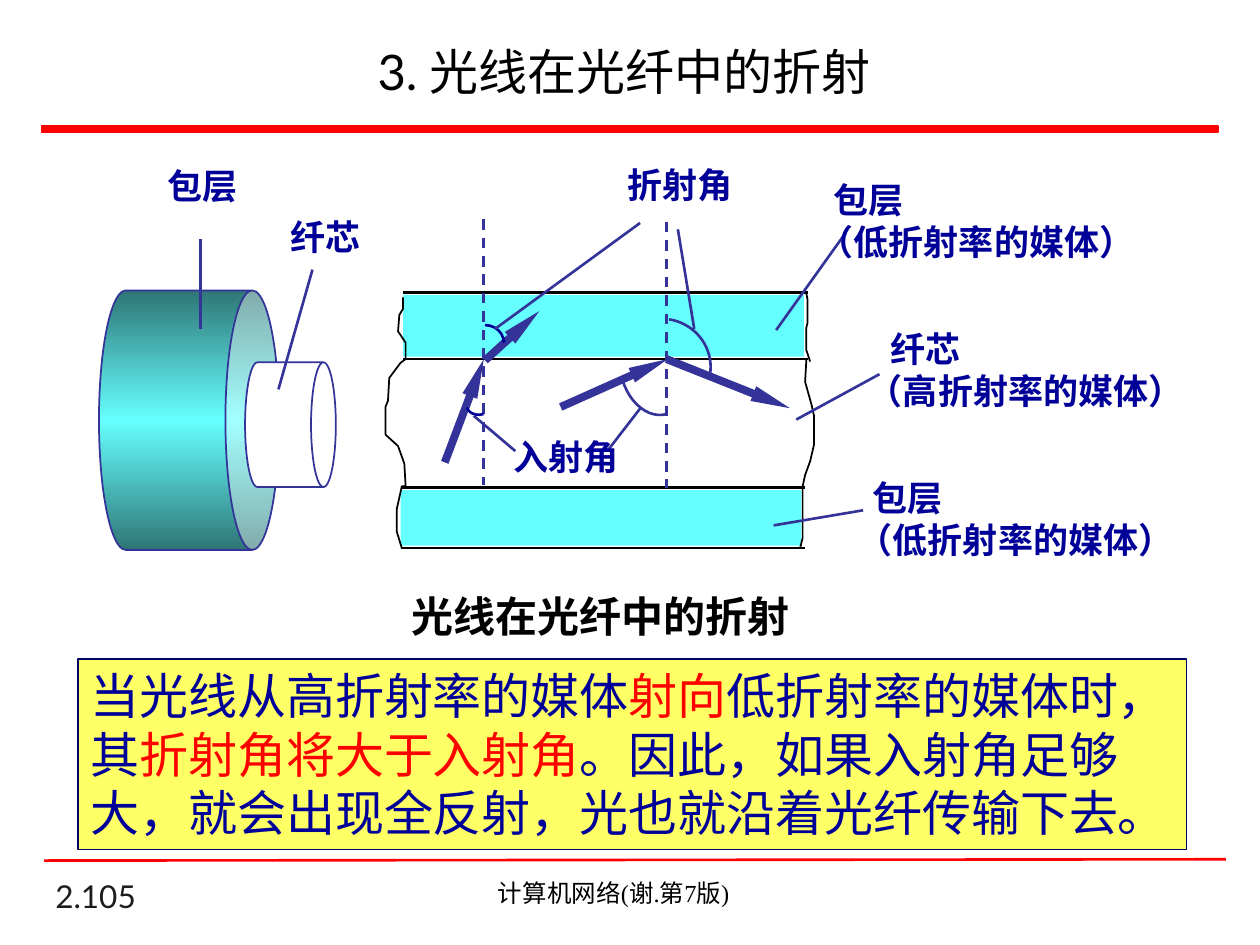
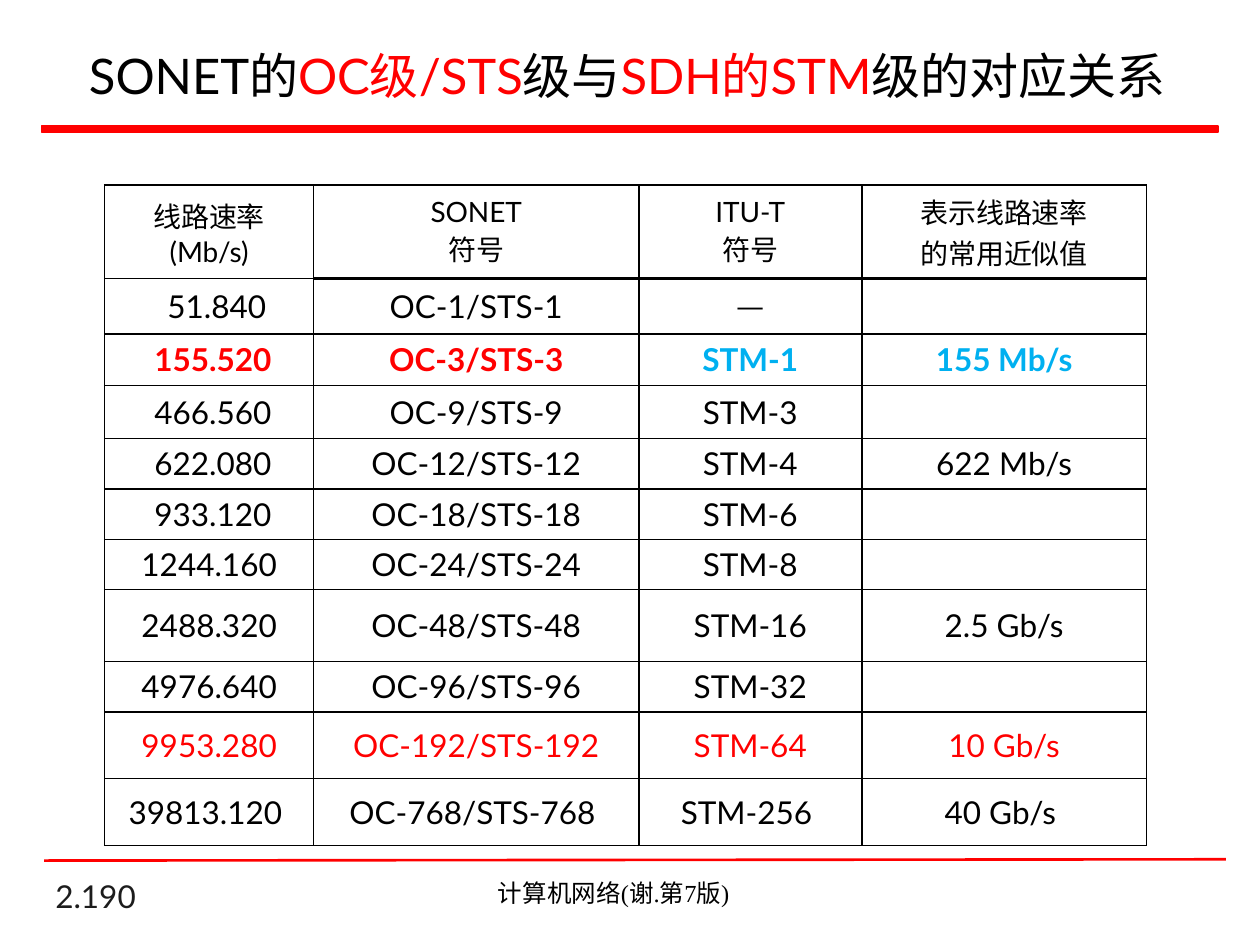
from copy import deepcopy
from dataclasses import dataclass
from lxml.etree import SubElement
from pptx import Presentation
from pptx.dml.color import RGBColor
from pptx.enum.dml import MSO_LINE
from pptx.enum.shapes import MSO_CONNECTOR, MSO_SHAPE
from pptx.enum.text import MSO_ANCHOR, MSO_AUTO_SIZE, PP_ALIGN
from pptx.oxml.ns import qn
from pptx.util import Emu, Inches, Pt

SLIDE_WIDTH, SLIDE_HEIGHT = Inches(10), Inches(7.5)
GRID_COLUMNS = 100
CELL = SLIDE_WIDTH // GRID_COLUMNS

BLACK, RED, NAVY, INDIGO = "000000", "FF0000", "000099", "333399"
CYAN, TEAL, YELLOW, SKY, WHITE = "66FFFF", "2F7676", "FFFF66", "00B0F0", "FFFFFF"
GRAY = "1C1C1C"
FONT, FOOTER_FONT = "Lato", "Times New Roman"


@dataclass
class Box:
    left: float
    top: float
    width: float
    height: float

    def inner(self, left, top, width, height):
        return Box(self.left + left, self.top + top, width, height)

    def point(self, x, y):
        return cells(self.left + x), cells(self.top + y)

    def frame(self):
        return [cells(value) for value in (self.left, self.top, self.width, self.height)]


def cells(count):
    return Emu(round(count * CELL))


def color(value):
    return RGBColor.from_string(value)


def write(text_frame, text, size, ink=BLACK, accent=RED, bold=False,
          alignment=PP_ALIGN.LEFT, font=FONT):
    text_frame.text = text
    for paragraph in text_frame.paragraphs:
        first, *others = paragraph.text.split("|")
        paragraph.text = first
        for part in others:
            paragraph.add_run().text = part
        paragraph.alignment = alignment
        for index, run in enumerate(paragraph.runs):
            run.font.name = font
            run.font.size = Pt(size)
            run.font.bold = bold
            run.font.color.rgb = color(accent if index % 2 else ink)


def add_text(slide, box, text, size, anchor=MSO_ANCHOR.TOP, **style):
    shape = slide.shapes.add_textbox(*box.frame())
    shape.text_frame.word_wrap = True
    shape.text_frame.vertical_anchor = anchor
    write(shape.text_frame, text, size, **style)
    return shape


def add_label(slide, box, text, indent=0):
    shape = add_text(slide, box, text, 20, ink=NAVY, bold=True)
    properties = shape.text_frame.paragraphs[0]._p.get_or_add_pPr()
    properties.set("marL", str(Inches(indent)))


def paint(shape, fill, line=None, width=1):
    shape.shadow.inherit = False
    if fill:
        shape.fill.solid()
        shape.fill.fore_color.rgb = color(fill)
    else:
        shape.fill.background()
    if line:
        shape.line.color.rgb = color(line)
        shape.line.width = Pt(width)
    else:
        shape.line.fill.background()


def add_box(slide, box, fill, line=None, width=1, kind=MSO_SHAPE.RECTANGLE):
    shape = slide.shapes.add_shape(kind, *box.frame())
    paint(shape, fill, line, width)
    return shape


def add_line(slide, box, ends, ink=INDIGO, width=1.5, dashed=False, arrow=False):
    x1, y1, x2, y2 = ends
    connector = slide.shapes.add_connector(
        MSO_CONNECTOR.STRAIGHT, *box.point(x1, y1), *box.point(x2, y2))
    connector.line.color.rgb = color(ink)
    connector.line.width = Pt(width)
    if dashed:
        connector.line.dash_style = MSO_LINE.DASH
    properties = connector._element.spPr
    if arrow:
        SubElement(properties.find(qn("a:ln")), qn("a:tailEnd"), type="triangle", w="sm", len="lg")
    SubElement(properties, qn("a:effectLst"))


def add_quarter_arc(slide, box, center, radii, rotation, ink):
    (x, y), (across, down) = center, radii
    area = box.inner(x - across, y - down, 2 * across, 2 * down)
    arc = add_box(slide, area, None, ink, 1.5, MSO_SHAPE.ARC)
    arc.rotation = rotation


def add_torn_edge(slide, box, points):
    start, *others = [box.point(x, y) for x, y in points]
    builder = slide.shapes.build_freeform(*start)
    builder.add_line_segments(others, close=False)
    paint(builder.convert_to_shape(), None, BLACK, 1)


def add_lying_cylinder(slide, box, fill, depth):
    shift = (box.width - box.height) / 2
    upright = box.inner(shift, -shift, box.height, box.width)
    cylinder = add_box(slide, upright, fill, INDIGO, 1, MSO_SHAPE.CAN)
    cylinder.adjustments[0] = depth
    cylinder.rotation = 90
    return cylinder


def shade_rim(cylinder, edge, middle):
    cylinder.fill.gradient()
    cylinder.fill.gradient_angle = 0
    rim, center = cylinder.fill.gradient_stops
    rim.color.rgb, center.color.rgb = color(edge), color(middle)
    rim.position, center.position = 0, 0.5
    stops = cylinder._element.xpath(".//a:gsLst")[0]
    far_rim = deepcopy(stops[0])
    far_rim.set("pos", "100000")
    stops.append(far_rim)


def add_page(presentation, title, title_box, number):
    slide = presentation.slides.add_slide(presentation.slide_layouts[5])
    page = Box(0, 0, 100, 75)
    add_text(slide, page.inner(3.4, 69.8, 20.8, 3.3), number, 18, MSO_ANCHOR.BOTTOM, ink=GRAY)
    add_box(slide, page.inner(3.3, 10, 93.4, 0.5), RED, RED)
    add_line(slide, page, (3.5, 68.3, 97.3, 68.2), RED)
    add_text(slide, page.inner(28.3, 69.2, 40.8, 3.4), "计算机网络(谢.第7版)", 14,
             alignment=PP_ALIGN.CENTER, font=FOOTER_FONT)
    heading = slide.shapes.title
    heading.left, heading.top, heading.width, heading.height = title_box.frame()
    heading.text_frame.auto_size = MSO_AUTO_SIZE.NONE
    heading.text_frame.vertical_anchor = MSO_ANCHOR.MIDDLE
    write(heading.text_frame, title, 28, alignment=PP_ALIGN.CENTER)
    return slide


def add_fibre_section(slide, box):
    for left, top, height in ((2, 11.2, 5.3), (1.8, 26.7, 4.8)):
        add_box(slide, box.inner(left, top + 0.2, 31.8, height - 0.4), CYAN)
        for y in (top, top + height):
            add_line(slide, box, (left, y, left + 32.1, y), BLACK)
    for x, top in ((8.4, 5.4), (22.9, 5.6)):
        add_line(slide, box, (x, top, x, top + 21.1), dashed=True)
    rays = ((8.5, 16.6, 12.8, 12.7), (5.3, 24.7, 8.4, 16.5),
            (14.5, 20.3, 23, 16.5), (22.9, 16.5, 32.7, 20.4))
    for ray in rays:
        add_line(slide, box, ray, width=4.5, arrow=True)
    angles = (((8.1, 20), (1.1, 0.9), 162, NAVY), ((8.5, 15.2), (1.5, 1.4), 0, NAVY),
              ((21.9, 17.4), (2.6, 3.6), 164, INDIGO), ((22.5, 17.1), (3.9, 3.8), 9, INDIGO))
    for angle in angles:
        add_quarter_arc(slide, box, *angle)
    torn_edges = (
        ((2, 11.6), (2, 12.5), (1.7, 13), (1.6, 14.3), (2.2, 15.2), (2.2, 16.5), (1.8, 16.8),
         (0.9, 18), (0.8, 19.8), (0.6, 20.3), (0.6, 22.5), (1.6, 23.4), (2.1, 24.8),
         (2.2, 26.6), (1.9, 26.6), (1.5, 28.4), (1.5, 30.2), (1.9, 31.5)),
        ((34, 11.3), (34.1, 11.8), (34.1, 13.6), (34, 14), (34, 15.8), (34.3, 16.7)),
        ((34, 16.5), (33.9, 18.3), (34.4, 20.1), (34.6, 21), (34.6, 23.3), (34.3, 24.6),
         (33.9, 25.7), (33.7, 26.6)),
        ((33.7, 26.6), (33.7, 30.7), (33.5, 31.5)))
    for points in torn_edges:
        add_torn_edge(slide, box, points)
    pointers = ((23.8, 6.2, 25.1, 14.1), (9.3, 14.1, 20.8, 5.7), (7.6, 21, 10.9, 23.8),
                (18.2, 23.8, 20.9, 20.3), (33.2, 21.3, 39.8, 17.7),
                (37.1, 6.5, 31.6, 14.2), (38.5, 28.5, 31.4, 29.7))
    for pointer in pointers:
        add_line(slide, box, pointer)
    add_label(slide, box.inner(18.8, 0.5, 11, 4.3), "折射角")
    add_label(slide, box.inner(9.8, 22.1, 12, 4.3), "入射角")
    media = ((34, 1.7, "包层\n（低折射率的媒体）", 0.12),
             (37.1, 25.3, "包层\n（低折射率的媒体）", 0.12),
             (37.9, 13.5, "纤芯\n（高折射率的媒体）", 0.18))
    for left, top, text, indent in media:
        add_label(slide, box.inner(left, top, 27.9, 7.7), text, indent)


def add_cable(slide, box):
    cladding = add_lying_cylinder(slide, box.inner(0.85, 11.05, 14.3, 20.6), CYAN, 0.298)
    shade_rim(cladding, TEAL, CYAN)
    add_lying_cylinder(slide, box.inner(12.45, 16.75, 7.2, 9.9), WHITE, 0.273)
    add_label(slide, box.inner(5.3, 0.6, 8, 4.4), "包层")
    add_line(slide, box, (8.9, 7, 8.9, 14.1))
    add_label(slide, box.inner(15.1, 4.6, 8, 4.4), "纤芯")
    add_line(slide, box, (17.8, 9.4, 15.1, 18.9))


def add_conclusion(slide, box):
    note = add_box(slide, box, YELLOW, "000066", 0.75)
    note.text_frame.word_wrap = True
    note.text_frame.vertical_anchor = MSO_ANCHOR.TOP
    write(note.text_frame,
          "当光线从高折射率的媒体|射向|低折射率的媒体时，其|折射角将大于入射角|"
          "。因此，如果入射角足够大，就会出现全反射，光也就沿着光纤传输下去。", 28, ink=NAVY)
    note.text_frame.paragraphs[0]._p.get_or_add_pPr().set("hangingPunct", "0")


def set_borders(cell, top, bottom):
    properties = cell._tc.get_or_add_tcPr()
    for side, width in (("lnL", 1), ("lnR", 1), ("lnT", top), ("lnB", bottom)):
        line = SubElement(properties, qn(f"a:{side}"), w=str(Pt(width)))
        fill = SubElement(line, qn("a:solidFill"))
        SubElement(fill, qn("a:srgbClr"), val=BLACK)


def add_rate_table(slide, box):
    headers = ("线路速率\n(Mb/s)", "SONET\n符号", "ITU-T\n符号", "表示线路速率\n的常用近似值")
    rates = (("51.840", 1, "─", ""), ("155.520", 3, "STM-1", "155 Mb/s"),
             ("466.560", 9, "STM-3", ""), ("622.080", 12, "STM-4", "622 Mb/s"),
             ("933.120", 18, "STM-6", ""), ("1244.160", 24, "STM-8", ""),
             ("2488.320", 48, "STM-16", "2.5 Gb/s"), ("4976.640", 96, "STM-32", ""),
             ("9953.280", 192, "STM-64", "10 Gb/s"), ("39813.120", 768, "STM-256", "40 Gb/s"))
    rows = [headers] + [(rate, f"OC-{level}/STS-{level}", module, short)
                        for rate, level, module, short in rates]
    inks = {2: (RED, RED, SKY, SKY), 9: (RED,) * 4}
    table = slide.shapes.add_table(len(rows), len(headers), *box.frame()).table
    table.first_row = table.horz_banding = False
    for column, width in zip(table.columns, (16.6, 25.8, 17.7, 22.6)):
        column.width = cells(width)
    heights = (7.4, 4.4, 4.1, 4.2, 4, 4, 4, 5.7, 4, 5.3, 5.3)
    for row, height in zip(table.rows, heights):
        row.height = cells(height)
    for row, texts in enumerate(rows):
        for column, text in enumerate(texts):
            cell = table.cell(row, column)
            set_borders(cell, 2 if row == 1 and column else 1, 2 if row == 0 and column else 1)
            cell.fill.background()
            cell.vertical_anchor = MSO_ANCHOR.MIDDLE
            if row and column == 0:
                cell.margin_left = Inches(0.1 + 0.06 * max(0, 8 - len(text)))
            if row == len(rows) - 1:
                cell.margin_right = Inches(0.16)
            write(cell.text_frame, text, 18 if row else 16, bold=row == 2,
                  ink=inks.get(row, (BLACK,) * 4)[column], alignment=PP_ALIGN.CENTER)


def add_refraction_slide(presentation):
    slide = add_page(presentation, "3. 光线在光纤中的折射 ", Box(3.9, 2.2, 92.1, 6.9), "2.105")
    add_fibre_section(slide, Box(30, 12, 66, 33))
    add_cable(slide, Box(7, 12, 23, 33))
    add_text(slide, Box(23.1, 46.4, 49.1, 5), "光线在光纤中的折射", 24, bold=True,
             alignment=PP_ALIGN.CENTER)
    add_conclusion(slide, Box(6.2, 52.3, 88, 15.1))


def add_rates_slide(presentation):
    slide = add_page(presentation, "SONET的|OC级/STS|级与|SDH的STM|级的对应关系 ",
                     Box(3.9, 2.1, 92.6, 7.7), "2.190")
    add_rate_table(slide, Box(8.3, 14.7, 82.7, 52.4))


def main():
    presentation = Presentation()
    presentation.slide_width, presentation.slide_height = SLIDE_WIDTH, SLIDE_HEIGHT
    add_refraction_slide(presentation)
    add_rates_slide(presentation)
    presentation.save("out.pptx")


if __name__ == "__main__":
    main()
